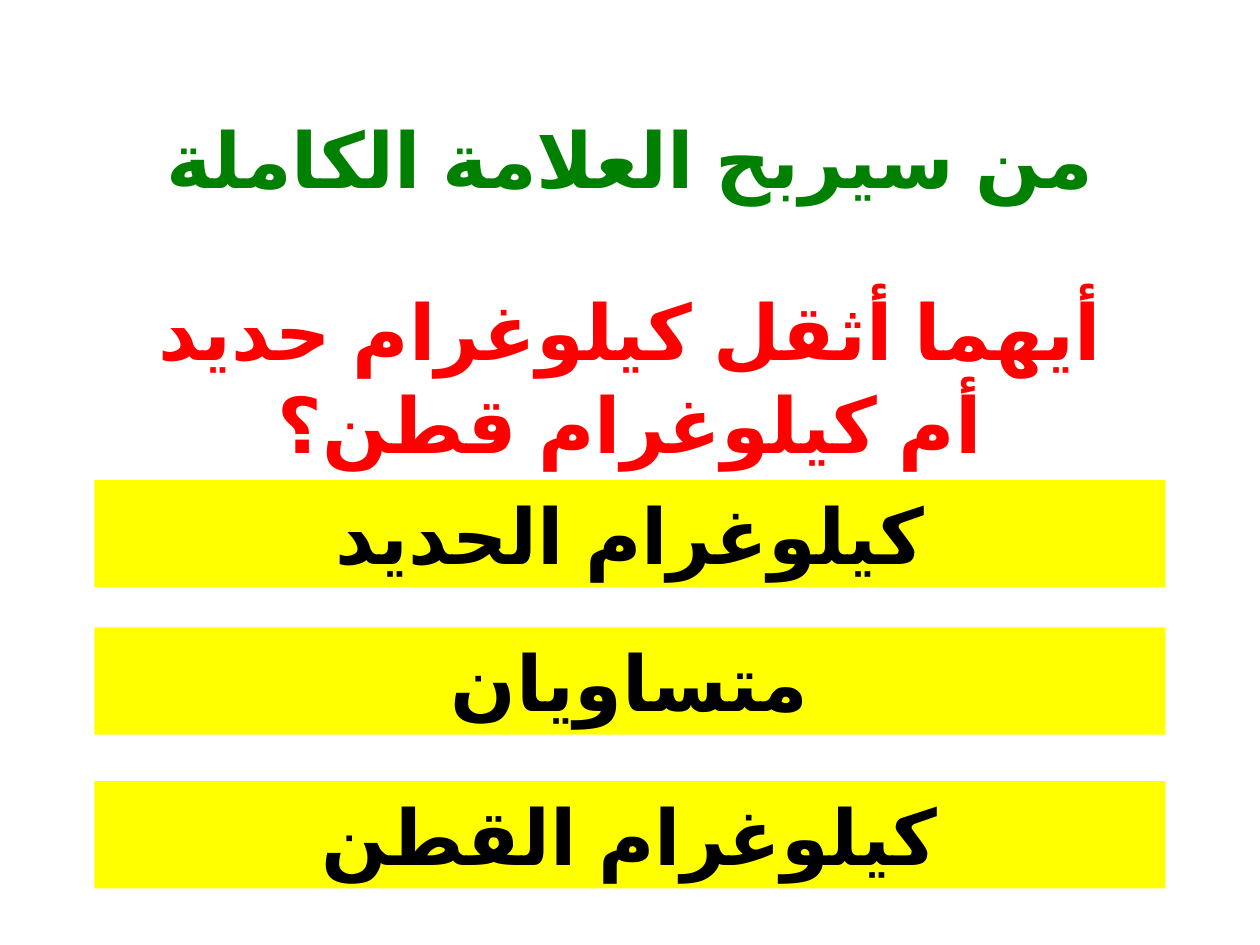
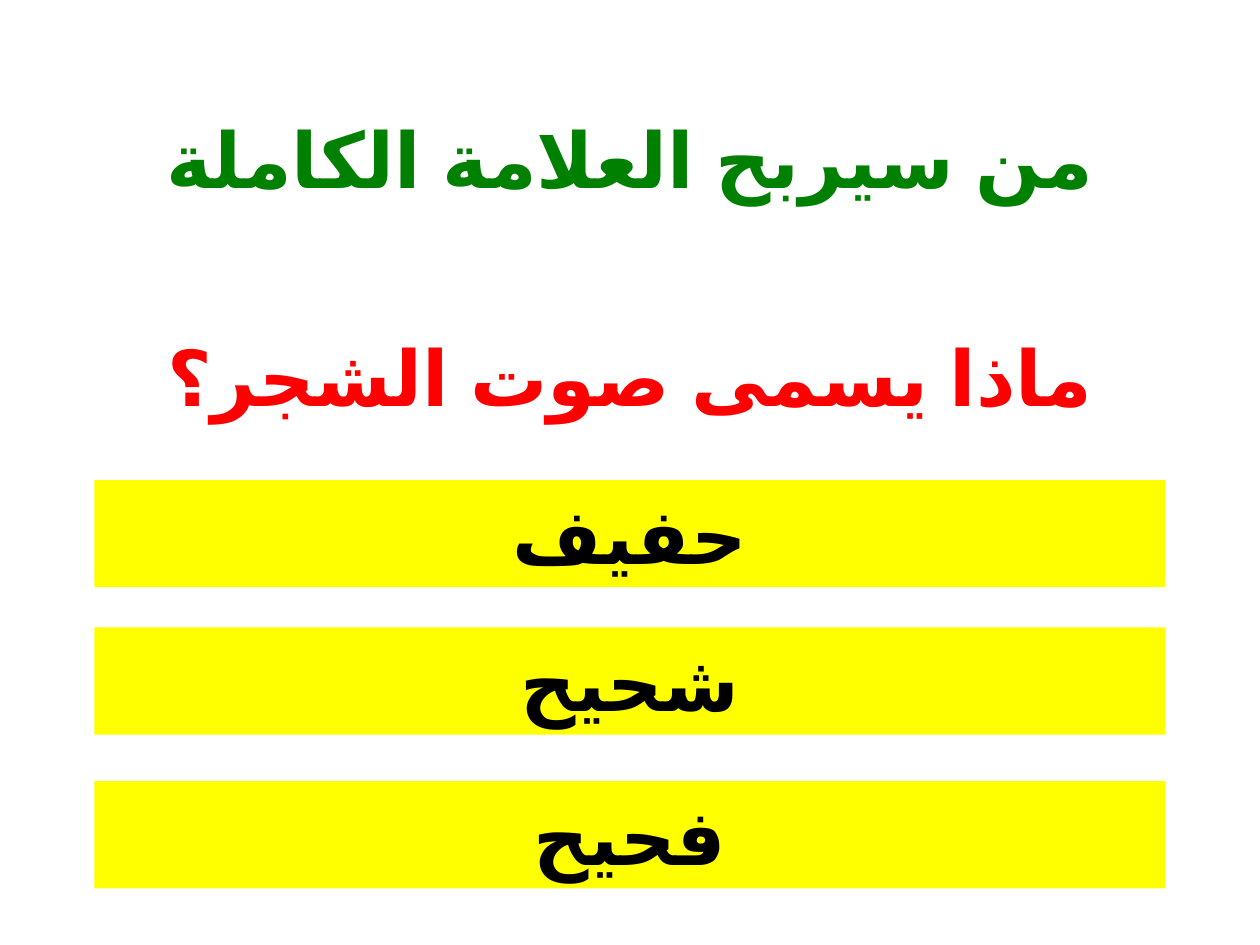
"""Build two Arabic quiz slides, each with a question and three answer bars."""
from lxml import etree
from pptx import Presentation
from pptx import util as u
from pptx.dml.color import RGBColor
from pptx.enum import lang, shapes, text
from pptx.oxml.ns import qn

TITLE = "من سيربح العلامة الكاملة"
QUIZ = [
    ("أيهما أثقل كيلوغرام حديد أم كيلوغرام قطن؟",
     ["كيلوغرام الحديد", "متساويان", "كيلوغرام القطن"]),
    ("ماذا يسمى صوت الشجر؟", ["حفيف", "شحيح", "فحيح"]),
]
COLORS = {"title": "008000", "question": "FF0000", "answer": "000000", "bar": "FFFF00"}
FONT, SIZE = "Arial", 44
WIDTH, HEIGHT = 10, 7.5
MARGIN, ROW = 0.75, 0.85
TITLE_TOP, QUESTION_TOP = 0.83, 2.56
ANSWER_TOPS = (3.81, 4.98, 6.2)


def row_box(top):
    return [u.Inches(v) for v in (MARGIN, top, WIDTH - 2 * MARGIN, ROW)]


def write(sp, words, color):
    tf = sp.text_frame
    tf.text = words
    tf.word_wrap = True
    tf.auto_size = text.MSO_AUTO_SIZE.NONE
    tf.vertical_anchor = text.MSO_ANCHOR.MIDDLE
    p = tf.paragraphs[0]
    p.alignment = text.PP_ALIGN.CENTER
    p.font.name, p.font.size, p.font.bold = FONT, u.Pt(SIZE), True
    p.font.color.rgb = RGBColor.from_string(COLORS[color])
    pPr = p._p.get_or_add_pPr()
    pPr.set("rtl", "1")
    etree.SubElement(pPr.find(qn("a:defRPr")), qn("a:cs"), typeface=FONT)
    p.runs[0].font.language_id = lang.MSO_LANGUAGE_ID.ARABIC


def add_answer(s, top, words):
    sp = s.shapes.add_shape(shapes.MSO_SHAPE.RECTANGLE, *row_box(top))
    sp.shadow.inherit = False
    sp.fill.solid()
    sp.fill.fore_color.rgb = RGBColor.from_string(COLORS["bar"])
    sp.line.fill.background()
    write(sp, words, "answer")


def add_quiz_slide(prs, question, answers):
    s = prs.slides.add_slide(prs.slide_layouts[5])
    title = s.shapes.title
    title.left, title.top, title.width, title.height = row_box(TITLE_TOP)
    write(title, TITLE, "title")
    write(s.shapes.add_textbox(*row_box(QUESTION_TOP)), question, "question")
    for top, words in zip(ANSWER_TOPS, answers):
        add_answer(s, top, words)


def main():
    prs = Presentation()
    prs.slide_width, prs.slide_height = u.Inches(WIDTH), u.Inches(HEIGHT)
    for question, answers in QUIZ:
        add_quiz_slide(prs, question, answers)
    prs.save("out.pptx")


if __name__ == "__main__":
    main()
